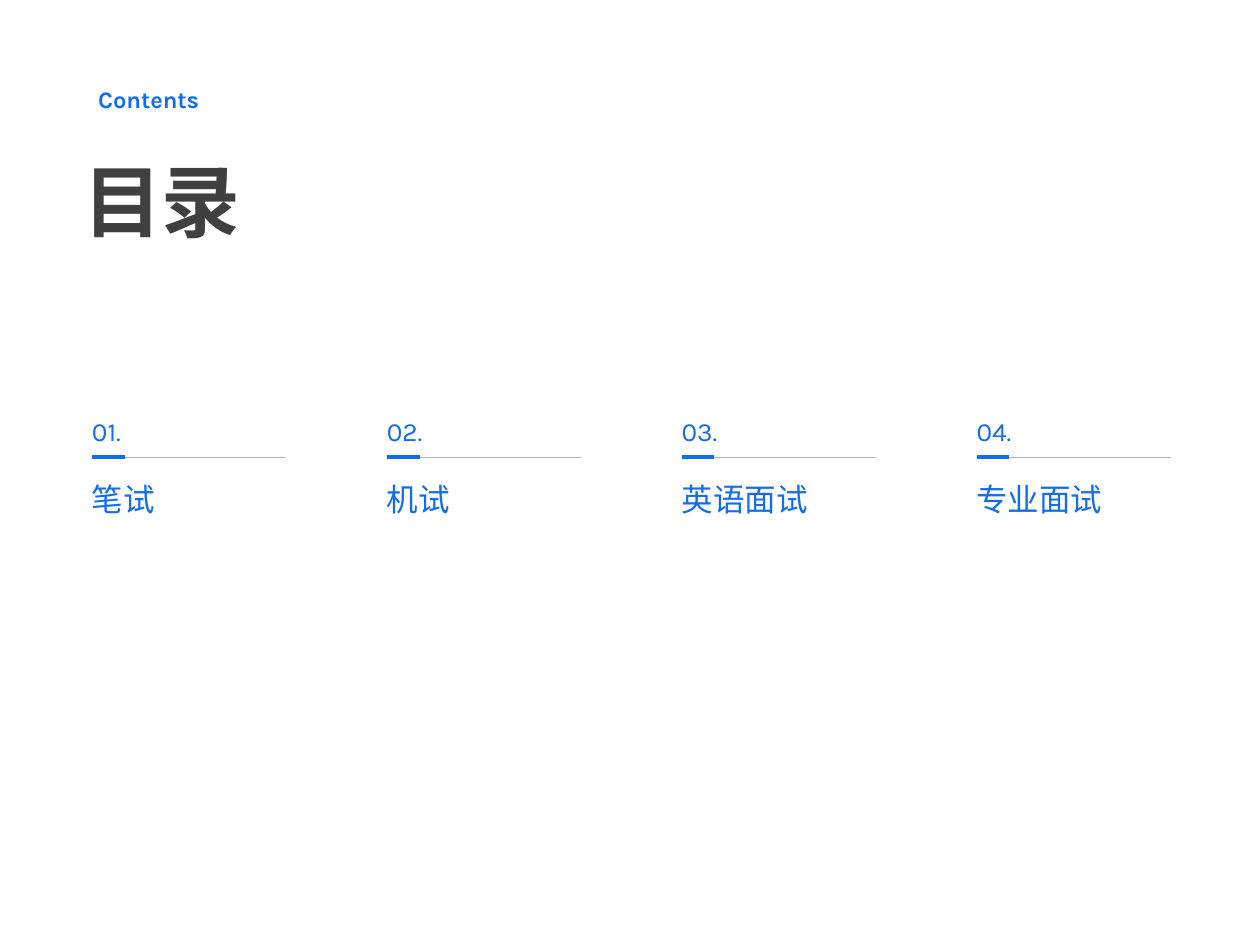
from dataclasses import dataclass

from lxml.etree import SubElement
from pptx import Presentation
from pptx.dml.color import RGBColor
from pptx.enum.shapes import MSO_CONNECTOR
from pptx.enum.text import MSO_ANCHOR, MSO_AUTO_SIZE, PP_ALIGN
from pptx.oxml.ns import qn
from pptx.util import Inches, Pt


@dataclass(frozen=True)
class Theme:
    """Colours, font and type sizes."""
    blue: str = "116CEE"
    dark: str = "404040"
    rule: str = "AAB6C9"
    font: str = "Karla"
    head: float = 45
    label: float = 13.5
    num: float = 15
    item: float = 18


class Deck:
    """Draws styled elements on the current slide."""

    def __init__(self, prs, theme):
        self.theme = theme
        self.slide = prs.slides.add_slide(prs.slide_layouts[5])

    def style(self, shape, text, size, color, bold=False,
              anchor=MSO_ANCHOR.BOTTOM, inset=0):
        """Fill a shape with one styled paragraph."""
        frame = shape.text_frame
        frame.text = text
        frame.word_wrap = True
        frame.auto_size = MSO_AUTO_SIZE.NONE
        frame.vertical_anchor = anchor
        frame.margin_left = Inches(inset)
        frame.margin_top = frame.margin_right = frame.margin_bottom = 0
        par = frame.paragraphs[0]
        par.alignment = PP_ALIGN.LEFT
        font = par.font
        font.name, font.size, font.bold = self.theme.font, Pt(size), bold
        font.color.rgb = RGBColor.from_string(color)

    def title(self, text, left, top, width, height):
        """Place the slide title."""
        shape = self.slide.shapes.title
        shape.left, shape.top = Inches(left), Inches(top)
        shape.width, shape.height = Inches(width), Inches(height)
        self.style(shape, text, self.theme.head, self.theme.dark, True)

    def text(self, text, left, top, width, height, size, **look):
        """Add a blue text box."""
        box = self.slide.shapes.add_textbox(
            Inches(left), Inches(top), Inches(width), Inches(height))
        self.style(box, text, size, self.theme.blue, **look)

    def line(self, left, top, width, color, weight):
        """Add a level line."""
        line = self.slide.shapes.add_connector(
            MSO_CONNECTOR.STRAIGHT, Inches(left), Inches(top),
            Inches(left + width), Inches(top))
        line.line.color.rgb = RGBColor.from_string(color)
        line.line.width = Pt(weight)
        SubElement(line._element.spPr, qn("a:effectLst"))

    def entry(self, num, text, left):
        """Add one numbered entry of the contents."""
        theme = self.theme
        self.line(left, 3.63, 1.54, theme.rule, 0.75)
        self.line(left, 3.63, 0.26, theme.blue, 2.25)
        self.text(f"{num:02}.", left, 3.15, 0.75, 0.4, theme.num)
        self.text(text, left, 3.81, 1.94, 1.53, theme.item,
                  anchor=MSO_ANCHOR.TOP)


def main():
    """Build the contents slide."""
    prs = Presentation()
    prs.slide_width, prs.slide_height = Inches(10), Inches(7.5)
    theme = Theme()
    deck = Deck(prs, theme)
    deck.text("Contents", 0.66, 0.62, 1.53, 0.28, theme.label,
              bold=True, inset=0.12)
    deck.title("目录", 0.66, 1.09, 1.53, 0.87)
    for num, text in enumerate(("笔试", "机试", "英语面试", "专业面试")):
        deck.entry(num + 1, text, 0.73 + 2.34 * num)
    prs.save("out.pptx")


if __name__ == "__main__":
    main()
